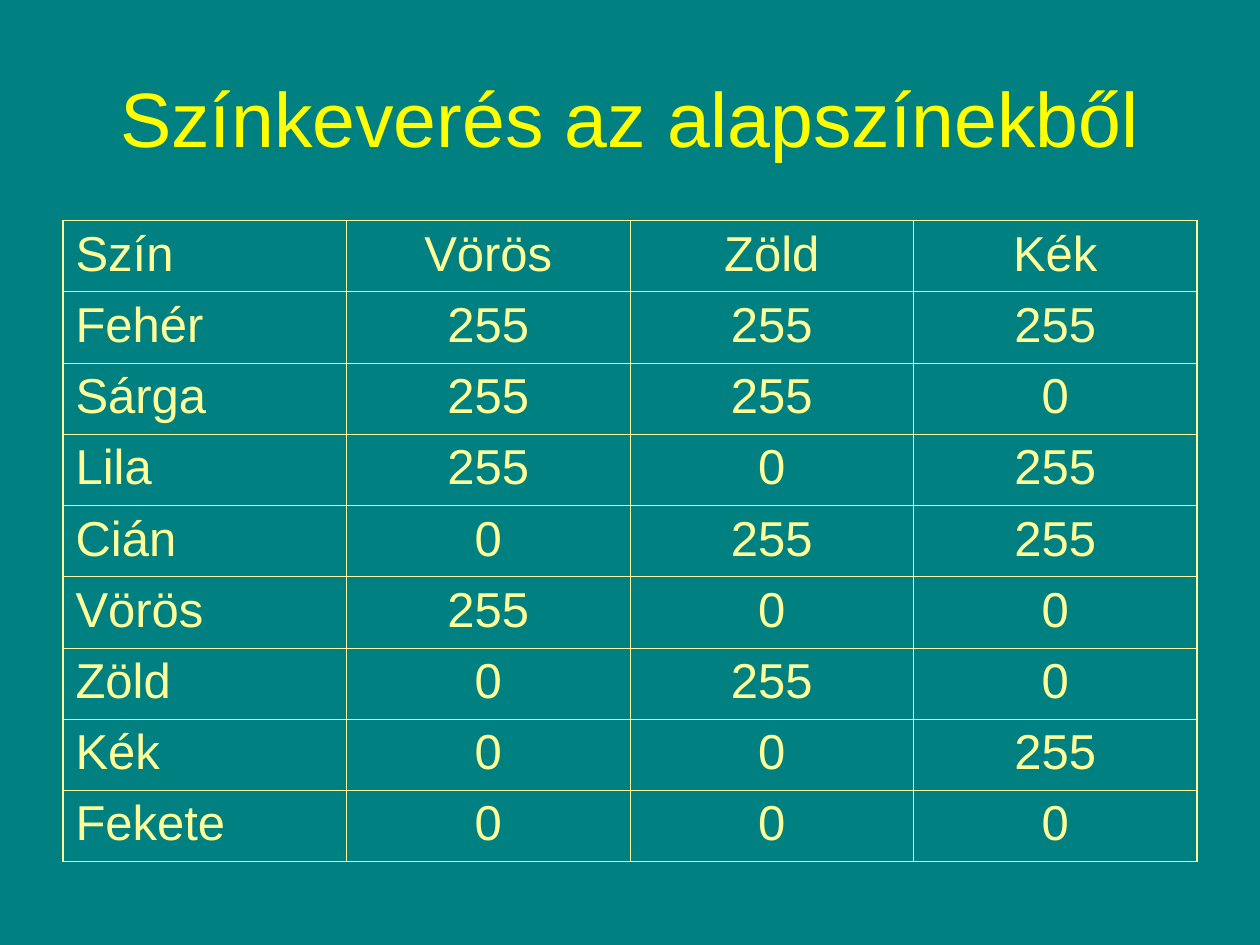
import dataclasses

import lxml.etree
import pptx
import pptx.dml.color
import pptx.enum.text
import pptx.oxml.ns
import pptx.util

Inches = pptx.util.Inches
Pt = pptx.util.Pt
RGBColor = pptx.dml.color.RGBColor
Align = pptx.enum.text.PP_ALIGN


@dataclasses.dataclass(frozen=True)
class Theme:
    font: str = "Arial"
    background: str = "008080"
    title_color: str = "FFFF00"
    table_color: str = "FFFF99"
    title_size: int = 44
    table_size: int = 28
    inner_border: float = 0.45
    outer_border: float = 1.08


THEME = Theme()

TITLE = "Színkeverés az alapszínekből"
COLOR_ROWS = [
    ("Szín", "Vörös", "Zöld", "Kék"),
    ("Fehér", 255, 255, 255),
    ("Sárga", 255, 255, 0),
    ("Lila", 255, 0, 255),
    ("Cián", 0, 255, 255),
    ("Vörös", 255, 0, 0),
    ("Zöld", 0, 255, 0),
    ("Kék", 0, 0, 255),
    ("Fekete", 0, 0, 0),
]


def style_paragraph(paragraph, size, color, alignment):
    paragraph.alignment = alignment
    paragraph.font.name = THEME.font
    paragraph.font.size = Pt(size)
    paragraph.font.color.rgb = RGBColor.from_string(color)


def add_border(cell, side, width):
    qn = pptx.oxml.ns.qn
    properties = cell._tc.get_or_add_tcPr()
    line = lxml.etree.SubElement(properties, qn(f"a:ln{side}"), w=str(Pt(width)))
    fill = lxml.etree.SubElement(line, qn("a:solidFill"))
    lxml.etree.SubElement(fill, qn("a:srgbClr"), val=THEME.table_color)


def place_title(slide, left, top, width, height):
    title = slide.shapes.title
    title.left, title.top, title.width, title.height = left, top, width, height
    frame = title.text_frame
    frame.text = TITLE
    frame.word_wrap = True
    frame.vertical_anchor = pptx.enum.text.MSO_ANCHOR.MIDDLE
    style_paragraph(frame.paragraphs[0], THEME.title_size, THEME.title_color, Align.CENTER)


def place_color_table(slide, left, top, width, height):
    row_count, column_count = len(COLOR_ROWS), len(COLOR_ROWS[0])
    table = slide.shapes.add_table(row_count, column_count, left, top, width, height).table
    table.first_row = False
    table.horz_banding = False
    for row, values in enumerate(COLOR_ROWS):
        for column, value in enumerate(values):
            cell = table.cell(row, column)
            cell.text = str(value)
            alignment = Align.CENTER if column else Align.LEFT
            paragraph = cell.text_frame.paragraphs[0]
            style_paragraph(paragraph, THEME.table_size, THEME.table_color, alignment)
            outer_sides = {
                "L": column == 0,
                "R": column == column_count - 1,
                "T": row == 0,
                "B": row == row_count - 1,
            }
            for side, is_outer in outer_sides.items():
                add_border(cell, side, THEME.outer_border if is_outer else THEME.inner_border)
            cell.fill.background()


def main():
    presentation = pptx.Presentation()
    presentation.slide_width = Inches(10)
    presentation.slide_height = Inches(7.5)
    slide = presentation.slides.add_slide(presentation.slide_layouts.get_by_name("Title Only"))
    slide.background.fill.solid()
    slide.background.fill.fore_color.rgb = RGBColor.from_string(THEME.background)
    place_title(slide, Inches(0.5), Inches(0.3), Inches(9), Inches(1.25))
    place_color_table(slide, Inches(0.5), Inches(1.75), Inches(9), Inches(5.09))
    presentation.save("out.pptx")


if __name__ == "__main__":
    main()
